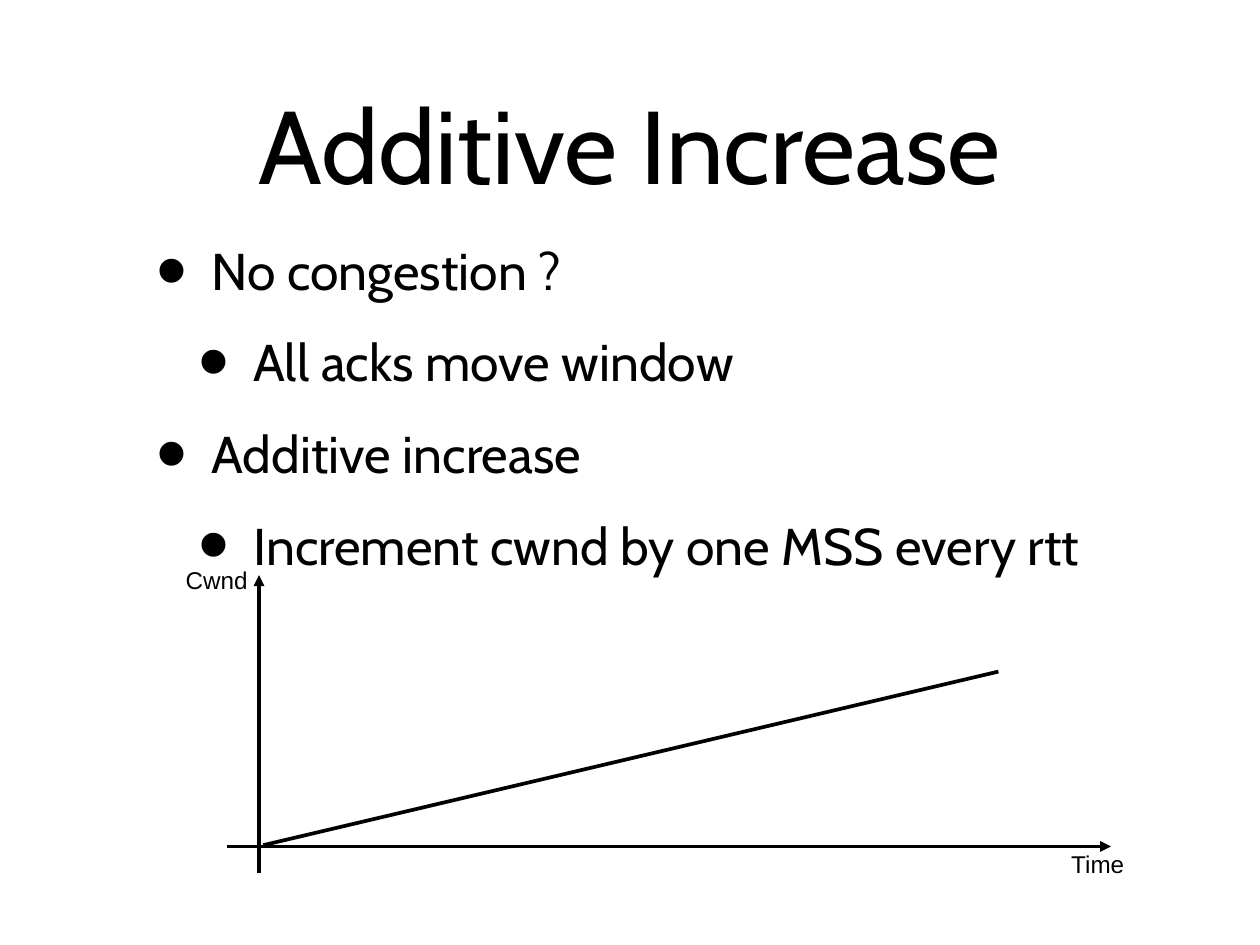
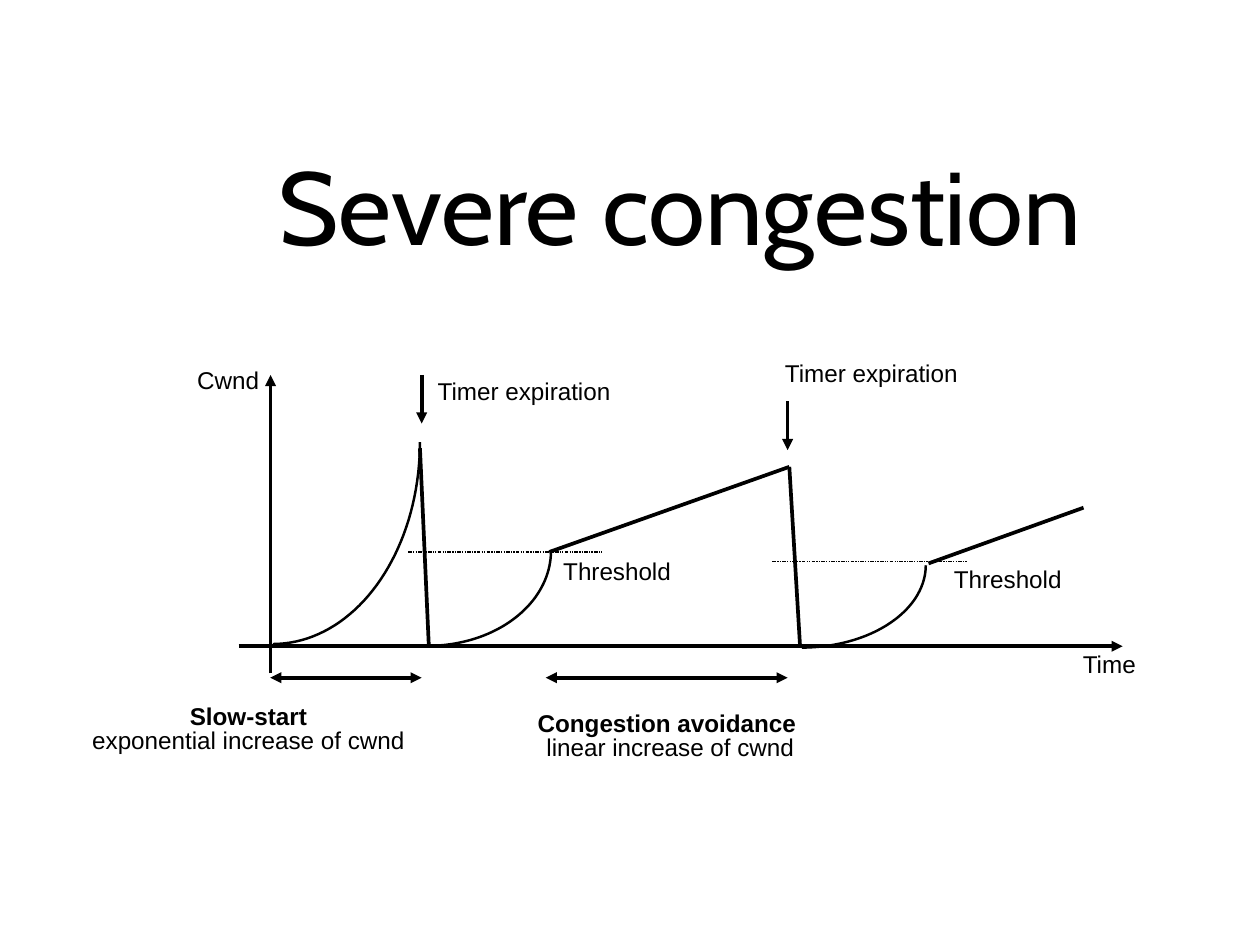
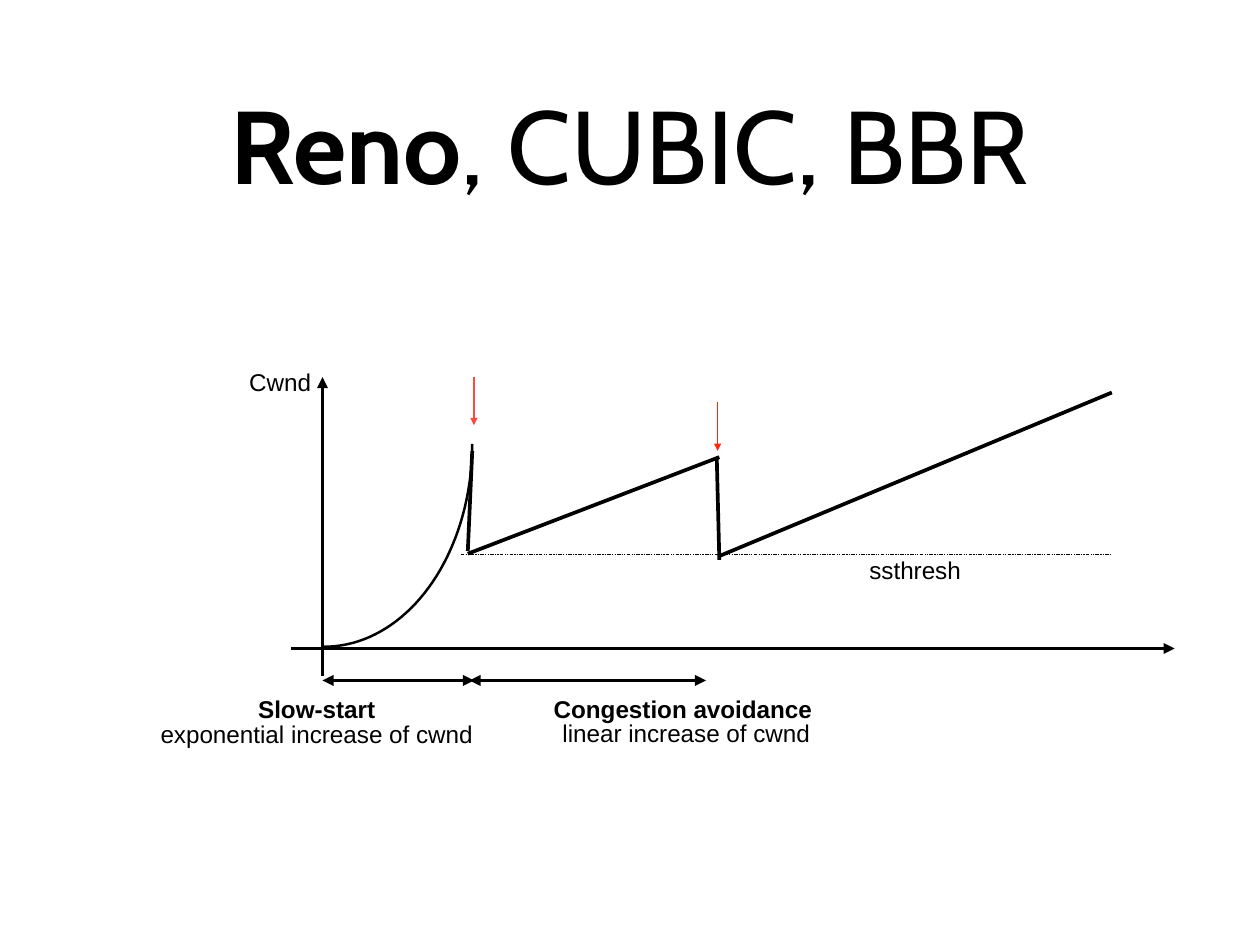
import math

import lxml.etree
import pptx
import pptx.dml.color
import pptx.enum.shapes
import pptx.enum.text
import pptx.oxml.ns
import pptx.util

Pt = pptx.util.Pt
qn = pptx.oxml.ns.qn
ALIGN = pptx.enum.text.PP_ALIGN
ANCHOR = pptx.enum.text.MSO_ANCHOR
AUTO_SIZE = pptx.enum.text.MSO_AUTO_SIZE
BLACK = pptx.dml.color.RGBColor(0x00, 0x00, 0x00)
LIGHT_RED = pptx.dml.color.RGBColor(0xFE, 0x49, 0x40)
RED = pptx.dml.color.RGBColor(0xFF, 0x27, 0x12)
TITLE_FONT = "Cabin"
LABEL_FONT = "Arial"
INSET = 4.5
BOTH_ENDS = ("headEnd", "tailEnd")
ARROW = ("tailEnd",)


def draw_line(slide, x1, y1, x2, y2, ends=(), width=3, color=BLACK, dash=None):
    line = slide.shapes.add_connector(
        pptx.enum.shapes.MSO_CONNECTOR.STRAIGHT, Pt(x1), Pt(y1), Pt(x2), Pt(y2))
    line.line.color.rgb = color
    line.line.width = Pt(width)
    outline = line.get_or_add_ln()
    if dash:
        lxml.etree.SubElement(outline, qn("a:prstDash"), val=dash)
    for end in ends:
        lxml.etree.SubElement(outline, qn("a:" + end), type="triangle")
    lxml.etree.SubElement(line.element.spPr, qn("a:effectLst"))


def format_frame(frame, inset, font, size, alignment, spacing):
    frame.margin_left = frame.margin_right = Pt(inset)
    frame.margin_top = frame.margin_bottom = Pt(inset)
    frame.vertical_anchor = ANCHOR.MIDDLE
    for paragraph in frame.paragraphs:
        paragraph.alignment = alignment
        paragraph.line_spacing = spacing
        for run in paragraph.runs:
            run.font.name = font
            run.font.size = Pt(size)
            run.font.color.rgb = BLACK


deck = pptx.Presentation()
deck.slide_width, deck.slide_height = Pt(1024), Pt(768)
bullet_layout, title_layout = deck.slide_layouts[1], deck.slide_layouts[5]

TITLE_BOX = (100, 20.2, 823.7, 192.2)
title_plan = [
    (bullet_layout, ["Additive Increase"], TITLE_BOX, 1.0),
    (title_layout, ["Severe congestion"], (182.9, 111.6, 739.4, 124.6), 0.84),
    (title_layout, ["Reno", ", CUBIC, BBR"], TITLE_BOX, 1.0),
]
for layout, parts, box, spacing in title_plan:
    title = deck.slides.add_slide(layout).shapes.title
    title.left, title.top, title.width, title.height = map(Pt, box)
    heading = title.text_frame.paragraphs[0]
    for part in parts:
        heading.add_run().text = part
    heading.runs[0].font.bold = len(parts) > 1
    title.text_frame.auto_size = AUTO_SIZE.NONE
    format_frame(title.text_frame, INSET, TITLE_FONT, 84, ALIGN.CENTER, spacing)
additive, severe, reno = deck.slides

points = [
    (0, "No congestion ?"),
    (1, "All acks move window"),
    (0, "Additive increase"),
    (1, "Increment cwnd by one MSS every rtt"),
]
body = additive.placeholders[1]
body.left, body.top, body.width, body.height = map(Pt, (100, 123.1, 823.7, 415.4))
body.text_frame.text = "\n".join(text for level, text in points)
body.text_frame.auto_size = AUTO_SIZE.NONE
format_frame(body.text_frame, INSET, TITLE_FONT, 42, ALIGN.LEFT, 1.0)
for paragraph, (level, text) in zip(body.text_frame.paragraphs, points):
    paragraph.level = level
    paragraph.space_before = Pt(24)
    properties = paragraph._p.get_or_add_pPr()
    properties.set("marL", str(Pt(67.5 + 34 * level)))
    properties.set("indent", str(Pt(-44.5)))
    lxml.etree.SubElement(properties, qn("a:buSzPct"), val="171000")
    lxml.etree.SubElement(properties, qn("a:buChar"), char="•")

labels = [
    (severe, "Timer expiration", 355, 308.9, 141.8),
    (severe, "Timer expiration", 637.2, 294.5, 141.8),
    (severe, "Threshold", 457.2, 455.8, 88.6),
    (severe, "Threshold", 774.7, 462.2, 88.6),
    (reno, "ssthresh", 706.3, 455, 74.9),
]
for slide, slow_left, slow_top, avoid_left, avoid_top in [
    (severe, 73.4, 573.1, 435.6, 578.9),
    (reno, 128.9, 568.1, 448.6, 567.4),
]:
    labels += [
        (slide, "Slow-start\nexponential increase of cwnd", slow_left, slow_top, 257),
        (slide, "Congestion avoidance \nlinear increase of cwnd", avoid_left, avoid_top, 218.2),
    ]

for slide, origin_x, origin_y, has_time in [
    (additive, 210.5, 687.9, True),
    (severe, 219.9, 525.2, True),
    (reno, 262.1, 527, False),
]:
    draw_line(slide, origin_x, origin_y + 22, origin_x, origin_y - 220.5, ARROW)
    draw_line(slide, origin_x - 26, origin_y, origin_x + 692.5, origin_y, ARROW)
    labels.append((slide, "Cwnd", origin_x - 60, origin_y - 224.8, 51.1))
    if has_time:
        labels.append((slide, "Time", origin_x + 660, origin_y + 6.2, 43.2))

for slide, x1, y1, x2, y2 in [
    (additive, 213.8, 686.9, 811.4, 545.8),
    (severe, 341.3, 364.3, 348.5, 524.9),
    (severe, 446.4, 448.6, 641.5, 379.4),
    (severe, 641.5, 379.4, 650.2, 524.9),
    (severe, 754.6, 457.9, 880.6, 412.6),
    (reno, 383.8, 366.5, 380.2, 447.8),
    (reno, 380.2, 450, 584.6, 371.5),
    (reno, 582.5, 371.5, 584.6, 455),
    (reno, 583.9, 452.2, 903.6, 319),
]:
    draw_line(slide, x1, y1, x2, y2)

for slide, left, right, y in [
    (severe, 331.9, 489.6, 448.6),
    (severe, 627.8, 785.5, 456.5),
    (reno, 374.4, 903.6, 450.7),
]:
    draw_line(slide, left, y, right, y, width=1, dash="sysDashDotDot")

for slide, left, right, y in [
    (severe, 219.6, 342.7, 550.8),
    (severe, 443.5, 640.1, 550.8),
    (reno, 262.1, 385.2, 553),
    (reno, 381.6, 573.8, 553),
]:
    draw_line(slide, left, y, right, y, BOTH_ENDS)

for slide, x, top, width, color in [
    (severe, 342.7, 304.6, 3, BLACK),
    (severe, 640.1, 326.2, 3, BLACK),
    (reno, 385.2, 306, 1, LIGHT_RED),
    (reno, 583.2, 326.9, 1, RED),
]:
    draw_line(slide, x, top, x, top + 39.6, ARROW, width, color)

CURVE_STEPS = 40
for slide, left, bottom, right, top in [
    (severe, 221.8, 523.4, 341.3, 359.3),
    (severe, 347.8, 524.9, 447.8, 447.8),
    (severe, 651.6, 526.3, 752.4, 459.4),
    (reno, 263.5, 525.6, 383.8, 360.7),
]:
    angles = [math.pi / 2 * step / CURVE_STEPS for step in range(1, CURVE_STEPS + 1)]
    outline = slide.shapes.build_freeform(Pt(left), Pt(bottom))
    outline.add_line_segments(
        [(Pt(left + (right - left) * math.sin(angle)),
          Pt(top + (bottom - top) * math.cos(angle))) for angle in angles],
        close=False)
    growth = outline.convert_to_shape()
    growth.shadow.inherit = False
    growth.fill.background()
    growth.line.color.rgb = BLACK
    growth.line.width = Pt(2)

for slide, text, left, top, width in labels:
    height = 20.5 + 19.8 * text.count("\n")
    label = slide.shapes.add_textbox(Pt(left), Pt(top), Pt(width), Pt(height))
    frame = label.text_frame
    frame.text = text
    frame.word_wrap = False
    frame.auto_size = AUTO_SIZE.SHAPE_TO_FIT_TEXT
    format_frame(frame, 0, LABEL_FONT, 19.7, ALIGN.CENTER, 0.84)
    frame.paragraphs[0].runs[0].font.bold = "\n" in text

deck.save("out.pptx")
